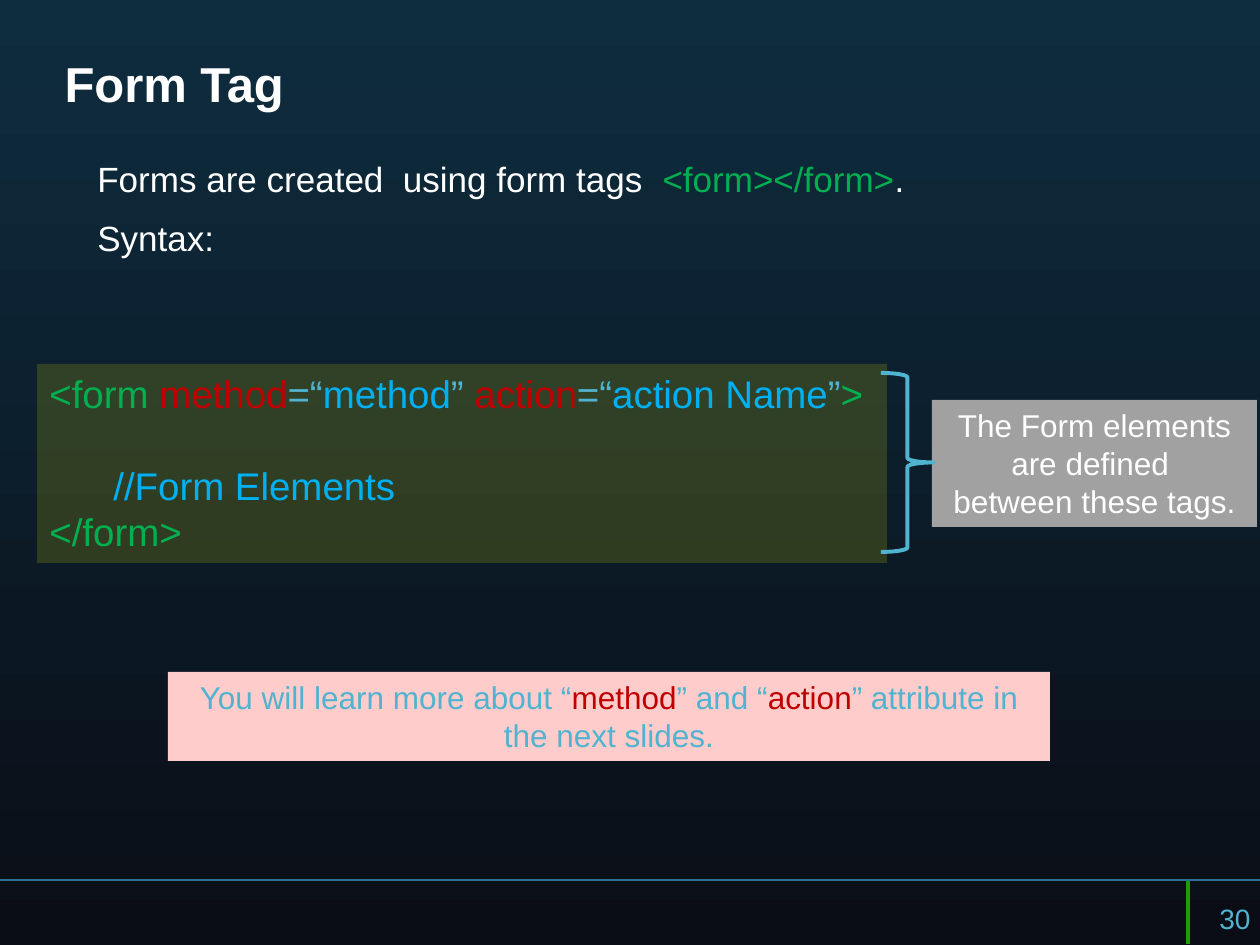
from lxml.etree import SubElement
from pptx import Presentation
from pptx.dml.color import RGBColor
from pptx.enum.shapes import MSO_CONNECTOR, MSO_SHAPE
from pptx.enum.text import MSO_ANCHOR, PP_ALIGN
from pptx.oxml.ns import qn
from pptx.util import Pt

PX = 914400 / 126
WHITE, TEAL, GREEN, RED, BLUE = "FFFFFF", "50B3CF", "00B050", "C00000", "00B0F0"

# Content: each paragraph is a list of (text, colour) spans
TITLE = [[("Form Tag", WHITE)]]
INTRO = [
    [("Forms are created  using form tags  ", WHITE),
     ("<form></form>", GREEN), (".", WHITE)],
    [("Syntax:", WHITE)],
]
CODE = [
    [("<form ", GREEN), ("method", RED), ("=“", TEAL), ("method", BLUE),
     ("” ", TEAL), ("action", RED), ("=“", TEAL), ("action Name", BLUE),
     ("”", TEAL), (">", GREEN)],
    [("//Form Elements", BLUE)],
    [("</form>", GREEN)],
]
CALLOUT = [[("The Form elements are defined ", WHITE)],
           [("between these tags.", WHITE)]]
NOTE = [[("You will learn more about “", TEAL), ("method", RED),
         ("” and “", TEAL), ("action", RED),
         ("” attribute in the next slides.", TEAL)]]
NUMBER = [[("30", TEAL)]]

# Places in px: left, top, width, height
TITLE_AT = (52, 45, 1157, 83)
INTRO_AT = (85, 156, 1123, 638)
CODE_AT = (37, 364, 850, 199)
CALLOUT_AT = (932, 400, 325, 127)
BRACE_AT = (881, 373, 53, 179)
NOTE_AT = (168, 672, 882, 89)
NUMBER_AT = (1207, 895, 102, 32)
# Footer lines: x1, y1, x2, y2, colour, points
RULES = [(1260, 880, 0, 880, "287094", 0.75),
         (1188, 881, 1188, 944, "209D03", 2)]


def px(*lengths):
    return [round(length * PX) for length in lengths]


def color(code):
    return RGBColor.from_string(code)


def write(box, content, size, align=PP_ALIGN.LEFT, anchor=MSO_ANCHOR.TOP, bold=False):
    frame = box.text_frame
    frame.word_wrap = True
    frame.vertical_anchor = anchor
    for index, spans in enumerate(content):
        para = frame.add_paragraph() if index else frame.paragraphs[0]
        para.alignment = align
        para.font.size, para.font.name, para.font.bold = Pt(size), "Arial", bold
        for text, code in spans:
            span = para.add_run()
            span.text = text
            span.font.color.rgb = color(code)
    return frame.paragraphs


def add_box(page, at, fill):
    box = page.shapes.add_shape(MSO_SHAPE.RECTANGLE, *px(*at))
    box.shadow.inherit = False
    box.fill.solid()
    box.fill.fore_color.rgb = color(fill)
    box.line.fill.background()
    return box


deck = Presentation()
deck.slide_width, deck.slide_height = px(1260, 945)
page = deck.slides.add_slide(deck.slide_layouts[5])

# Background gradient, top to bottom
fill = page.background.fill
fill.gradient()
fill.gradient_angle = 270
for stop, position, code in zip(fill.gradient_stops, (0, 1), ("0E2D3F", "0A0D16")):
    stop.position = position
    stop.color.rgb = color(code)

# Footer lines
for x1, y1, x2, y2, code, width in RULES:
    rule = page.shapes.add_connector(MSO_CONNECTOR.STRAIGHT, *px(x1, y1, x2, y2))
    rule.line.color.rgb = color(code)
    rule.line.width = Pt(width)
    SubElement(rule._element.spPr, qn("a:effectLst"))

# Title
title = page.shapes.title
title.left, title.top, title.width, title.height = px(*TITLE_AT)
for para in write(title, TITLE, 28, anchor=MSO_ANCHOR.MIDDLE, bold=True):
    para.line_spacing = 0.9

# Introduction
intro = page.shapes.add_textbox(*px(*INTRO_AT))
for para in write(intro, INTRO, 20):
    para.line_spacing = 0.9
    para.space_before = Pt(12)

# Page number
write(page.shapes.add_textbox(*px(*NUMBER_AT)), NUMBER, 16)

# Code panel: see-through fill, body line set off and indented
code_box = add_box(page, CODE_AT, "FFFF00")
tint = code_box._element.spPr.find(qn("a:solidFill"))[0]
SubElement(tint, qn("a:alpha"), val="15000")
body_line = write(code_box, CODE, 22)[1]
body_line.space_before = Pt(26)
body_line._p.get_or_add_pPr().set("marL", str(px(64)[0]))

# Callout and its brace
write(add_box(page, CALLOUT_AT, "A1A1A1"), CALLOUT, 18, PP_ALIGN.CENTER)
brace = page.shapes.add_shape(MSO_SHAPE.RIGHT_BRACE, *px(*BRACE_AT))
brace.shadow.inherit = False
brace.fill.background()
brace.line.color.rgb = color(TEAL)
brace.line.width = Pt(2.25)

# Closing note
write(add_box(page, NOTE_AT, "FFCCCC"), NOTE, 18, PP_ALIGN.CENTER)

deck.save("out.pptx")
